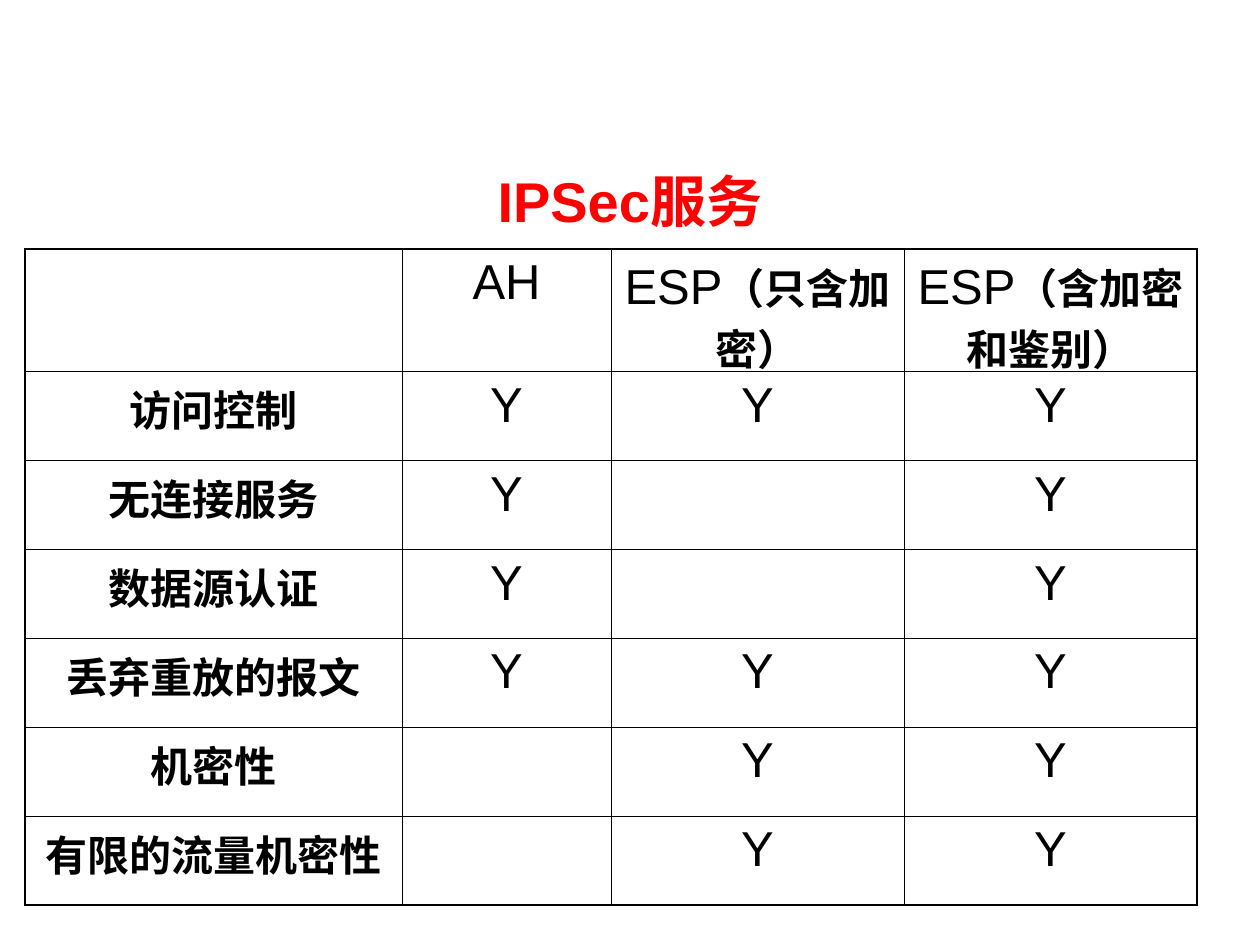
from dataclasses import dataclass

import pptx
import pptx.dml.color
import pptx.enum.text
import pptx.oxml
import pptx.oxml.ns
import pptx.util
from pptx.util import Pt


@dataclass(frozen=True)
class Theme:
    title: str = "FF0000"
    ink: str = "000000"
    latin: str = "Arial"
    cjk: str = "Noto Sans CJK SC"
    title_size: int = 32
    latin_size: int = 28
    cjk_size: int = 24
    outer: float = 1.08
    inner: float = 0.45


THEME = Theme()
COLUMNS = [215.3, 119.5, 167.4, 167.4]
HEADER_HEIGHT, ROW_HEIGHT = 70, 50.8
HEADER = [[], ["AH"], ["ESP", "（只含加密）"], ["ESP", "（含加密和鉴别）"]]
SERVICES = [
    ("访问控制", "YYY"),
    ("无连接服务", "Y-Y"),
    ("数据源认证", "Y-Y"),
    ("丢弃重放的报文", "YYY"),
    ("机密性", "-YY"),
    ("有限的流量机密性", "-YY"),
]


def style_run(r, size, color, latin, bold):
    r.font.size = Pt(size)
    r.font.bold = bold
    r.font.name = latin
    r.font.color.rgb = pptx.dml.color.RGBColor.from_string(color)
    ea = pptx.oxml.parse_xml(
        f'<a:ea {pptx.oxml.ns.nsdecls("a")} typeface="{THEME.cjk}"/>')
    r.font._element.find(pptx.oxml.ns.qn("a:latin")).addnext(ea)


def add_title(s, x, y, w, h):
    tf = s.shapes.add_textbox(Pt(x), Pt(y), Pt(w), Pt(h)).text_frame
    tf.word_wrap = True
    tf.vertical_anchor = pptx.enum.text.MSO_ANCHOR.MIDDLE
    p = tf.paragraphs[0]
    p.text = "IPSec服务"
    p.alignment = pptx.enum.text.PP_ALIGN.CENTER
    style_run(p.runs[0], THEME.title_size, THEME.title, THEME.latin, True)


def set_borders(cell, left, right, top, bottom):
    """Draw the four sides; a true side lies on the outer frame."""
    tcPr = cell._tc.get_or_add_tcPr()
    for side, is_outer in zip("LRTB", (left, right, top, bottom)):
        width = Pt(THEME.outer if is_outer else THEME.inner)
        tcPr.append(pptx.oxml.parse_xml(
            f'<a:ln{side} {pptx.oxml.ns.nsdecls("a")} w="{width}"><a:solidFill>'
            f'<a:srgbClr val="{THEME.ink}"/></a:solidFill></a:ln{side}>'))


def fill_cell(cell, parts):
    """Write the parts as runs: Latin ones plain, Chinese ones bold."""
    p = cell.text_frame.paragraphs[0]
    p.alignment = pptx.enum.text.PP_ALIGN.CENTER
    for part in parts:
        r = p.add_run()
        r.text = part
        if part.isascii():
            style_run(r, THEME.latin_size, THEME.ink, THEME.latin, False)
        else:
            style_run(r, THEME.cjk_size, THEME.ink, THEME.cjk, True)


def add_services_table(s, x, y):
    rows = [HEADER] + [
        [[name]] + [["Y"] if mark == "Y" else [] for mark in marks]
        for name, marks in SERVICES]
    heights = [HEADER_HEIGHT] + [ROW_HEIGHT] * len(SERVICES)
    table = s.shapes.add_table(len(rows), len(COLUMNS), Pt(x), Pt(y),
                               Pt(sum(COLUMNS)), Pt(sum(heights))).table
    table.first_row = table.horz_banding = False
    for column, width in zip(table.columns, COLUMNS):
        column.width = Pt(width)
    for i, (row, height) in enumerate(zip(rows, heights)):
        table.rows[i].height = Pt(height)
        for j, parts in enumerate(row):
            cell = table.cell(i, j)
            fill_cell(cell, parts)
            set_borders(cell, j == 0, j == len(row) - 1,
                        i == 0, i == len(rows) - 1)
            cell.fill.background()


def main():
    prs = pptx.Presentation()
    prs.slide_width, prs.slide_height = Pt(720), Pt(540)
    s = prs.slides.add_slide(prs.slide_layouts[6])
    add_title(s, 36, 82.8, 648, 62.6)
    add_services_table(s, 14.4, 142.4)
    prs.save("out.pptx")


if __name__ == "__main__":
    main()
